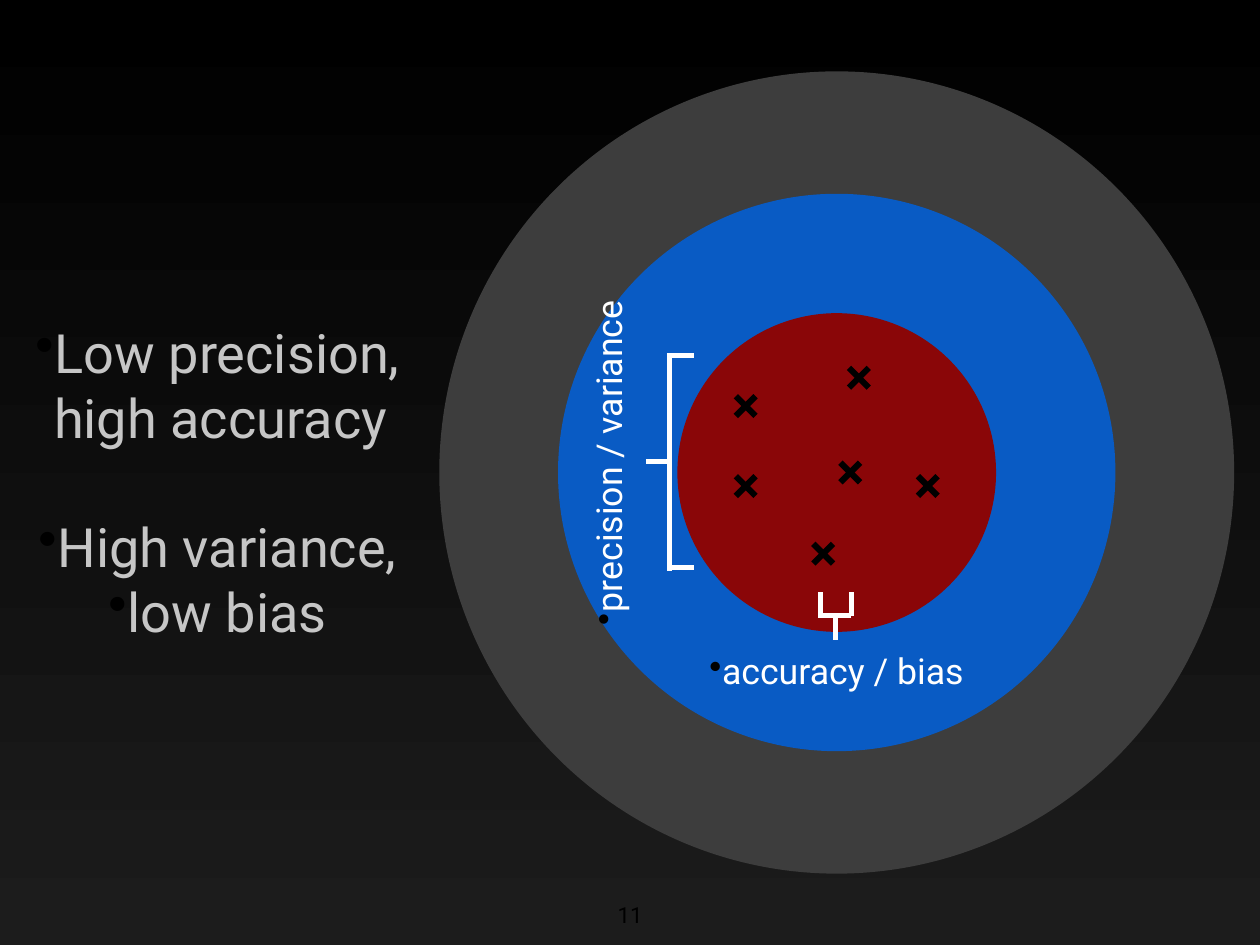
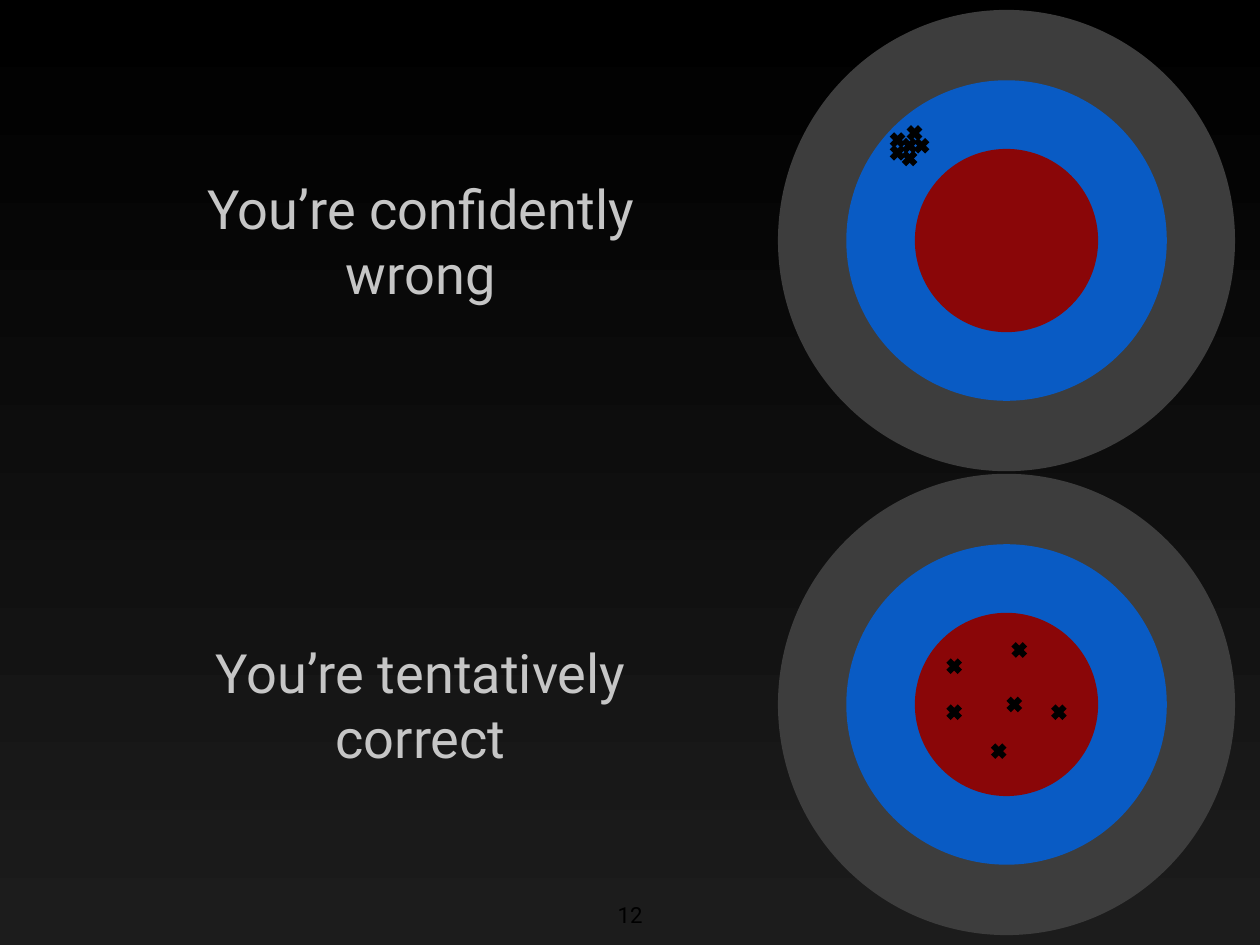
"""Two slides that explain precision and accuracy with shots on a target."""
from lxml import etree
from pptx import Presentation
from pptx.dml.color import RGBColor
from pptx.enum import shapes, text
from pptx.oxml import ns
from pptx.util import Pt

BLACK = RGBColor(0x00, 0x00, 0x00)
CHARCOAL = RGBColor(0x1C, 0x1C, 0x1C)
GRAY = RGBColor(0x3D, 0x3D, 0x3D)
BLUE = RGBColor(0x09, 0x5B, 0xC4)
RED = RGBColor(0x8A, 0x06, 0x08)
SILVER = RGBColor(0xC6, 0xC6, 0xC6)
WHITE = RGBColor(0xFF, 0xFF, 0xFF)

FONT = "Roboto"
PAGE_WIDTH, PAGE_HEIGHT = 1024, 768
RINGS = [(646, 652, GRAY), (453, 453, BLUE), (259, 259, RED)]
CROSS_SIZE = 16
SPREAD_SHOTS = [(-74, 11), (11, 0), (-11, 66), (-74, -54), (74, 11), (18, -77)]
TIGHT_SHOTS = [(-154, -124), (-137, -134), (-137, -116), (-154, -142), (-120, -134), (-130, -152)]
SMALL = 0.575


def draw_line(parent, start, end, color, width):
    line = parent.shapes.add_connector(
        shapes.MSO_CONNECTOR.STRAIGHT, *[Pt(value) for value in (*start, *end)])
    line.line.color.rgb = color
    line.line.width = Pt(width)
    etree.SubElement(line._element.spPr, ns.qn("a:effectLst"))


def add_label(page, place, lines, size, color, bullet=False):
    box = page.shapes.add_textbox(*[Pt(value) for value in place])
    frame = box.text_frame
    frame.word_wrap = True
    frame.vertical_anchor = text.MSO_ANCHOR.MIDDLE
    frame.margin_left = frame.margin_right = frame.margin_top = frame.margin_bottom = Pt(5)
    frame.text = "\n".join(lines)
    for para in frame.paragraphs:
        para.alignment = text.PP_ALIGN.CENTER
        if bullet:
            props = para._p.get_or_add_pPr()
            props.set("marL", str(Pt(5)))
            props.set("indent", str(Pt(-5)))
            tint = etree.SubElement(props, ns.qn("a:buClr"))
            etree.SubElement(tint, ns.qn("a:srgbClr"), val=str(BLACK))
            etree.SubElement(props, ns.qn("a:buChar"), char="•")
        for span in para.runs:
            span.font.name = FONT
            span.font.size = Pt(size)
            span.font.color.rgb = color
    return box


deck = Presentation()
deck.slide_width, deck.slide_height = Pt(PAGE_WIDTH), Pt(PAGE_HEIGHT)

slide_targets = [
    (11, [(680, 384, 1, SPREAD_SHOTS)]),
    (12, [(818, 195.5, SMALL, TIGHT_SHOTS), (818, 572.5, SMALL, SPREAD_SHOTS)]),
]
pages = []
for number, targets in slide_targets:
    page = deck.slides.add_slide(deck.slide_layouts[6])
    pages.append(page)
    backdrop = page.background.fill
    backdrop.gradient()
    backdrop.gradient_angle = 270
    for stop, color in zip(backdrop.gradient_stops, (BLACK, CHARCOAL)):
        stop.color.rgb = color
    add_label(page, (482, 728, 60, 30), [str(number)], 18, BLACK)

    for center_x, center_y, scale, shots in targets:
        target = page.shapes.add_group_shape()
        for ring_width, ring_height, color in RINGS:
            width, height = ring_width * scale, ring_height * scale
            ring = target.shapes.add_shape(
                shapes.MSO_SHAPE.OVAL, Pt(center_x - width / 2), Pt(center_y - height / 2),
                Pt(width), Pt(height))
            ring.shadow.inherit = False
            ring.fill.solid()
            ring.fill.fore_color.rgb = color
            ring.line.fill.background()
        arm = CROSS_SIZE * scale / 2
        for shot_x, shot_y in shots:
            x, y = center_x + shot_x * scale, center_y + shot_y * scale
            draw_line(target, (x - arm, y - arm), (x + arm, y + arm), BLACK, 5)
            draw_line(target, (x + arm, y - arm), (x - arm, y + arm), BLACK, 5)

spread_page, verdict_page = pages

summary = add_label(
    spread_page, (16, 36, 322, 710),
    ["Low precision, high accuracy", "High variance,", "low bias"], 44, SILVER, bullet=True)
summary.text_frame.paragraphs[1].space_before = Pt(52)

accuracy_bracket = [
    ((666, 500.5), (692, 500.5)), ((692, 501), (692, 481)),
    ((666.5, 502), (666.5, 481)), ((679, 520), (679, 499)),
]
precision_bracket = [
    ((544, 287), (544, 464)), ((544, 461.5), (564, 461.5)),
    ((543, 289), (564, 289)), ((525, 375), (546, 375)),
]
for strokes in (accuracy_bracket, precision_bracket):
    bracket = spread_page.shapes.add_group_shape()
    for start, end in strokes:
        draw_line(bracket, start, end, WHITE, 4)

precision_label = add_label(
    spread_page, (333, 348, 322, 56), ["precision / variance"], 29, WHITE, bullet=True)
precision_label.rotation = 270
add_label(spread_page, (519, 517, 322, 56), ["accuracy / bias"], 29, WHITE, bullet=True)

verdicts = ["You’re confidently wrong", "You’re tentatively correct"]
for verdict, (_, center_y, _, _) in zip(verdicts, slide_targets[1][1]):
    add_label(verdict_page, (140, center_y - 77, 404, 154), [verdict], 44, SILVER)

deck.save("out.pptx")
